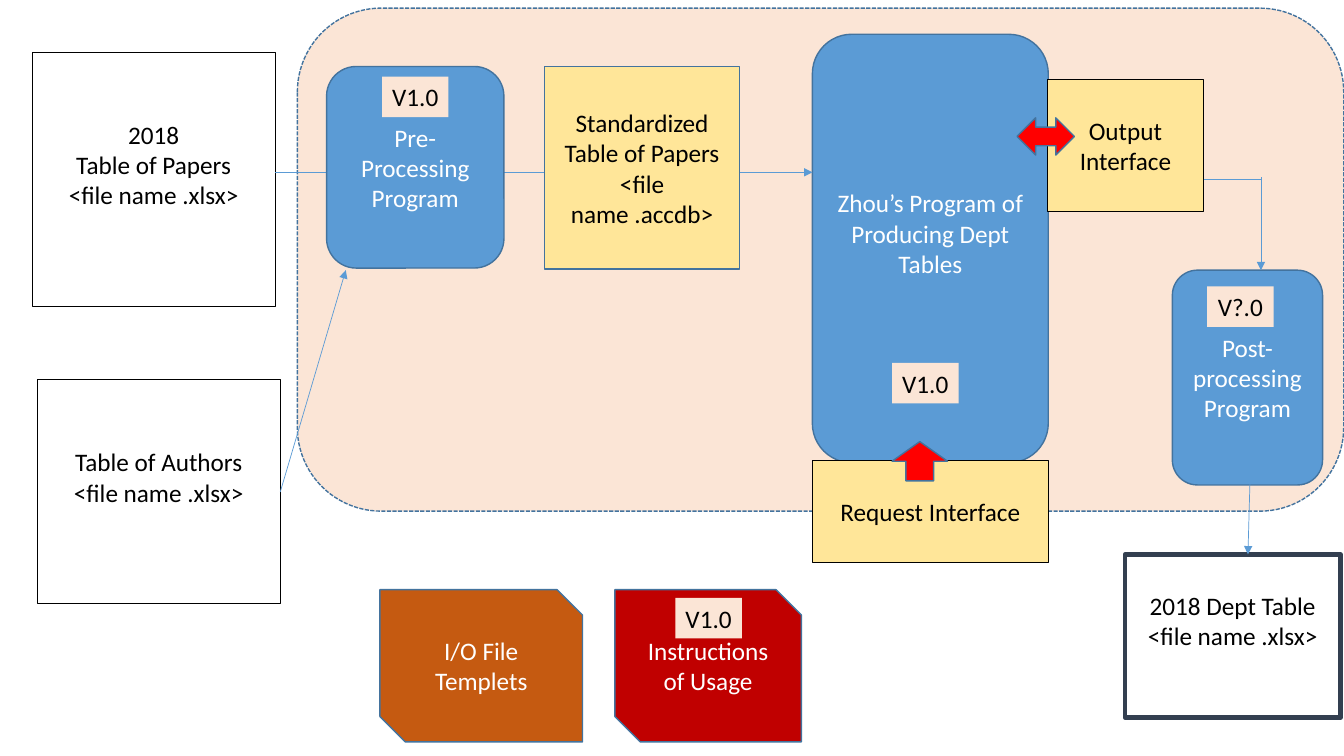
from lxml.etree import SubElement
from pptx import Presentation
from pptx.dml.color import RGBColor
from pptx.enum.dml import MSO_LINE
from pptx.enum.shapes import MSO_CONNECTOR, MSO_SHAPE
from pptx.enum.text import MSO_ANCHOR, PP_ALIGN
from pptx.oxml.ns import qn
from pptx.util import Pt

COLORS = {"black": "000000", "white": "FFFFFF", "blue": "5B9BD5", "edge": "43739E",
          "peach": "FBE5D6", "yellow": "FFE699", "red": "FF0000", "crimson": "C00000",
          "orange": "C55A11", "navy": "333F50"}
RECT, ROUND, SNIP = MSO_SHAPE.RECTANGLE, MSO_SHAPE.ROUNDED_RECTANGLE, MSO_SHAPE.SNIP_2_DIAG_RECTANGLE
LINE_HEIGHT, INSET = 22, 3.6

prs = Presentation()
prs.slide_width, prs.slide_height = Pt(960), Pt(540)
s = prs.slides.add_slide(prs.slide_layouts[6])


def add_box(text, kind, x, y, w, h, fill=None, edge="edge", weight=1, color="white",
            top=None, lift=0, wrap=True):
    """Add a shape; top drops the text by that many lines, lift raises centred text."""
    sp = s.shapes.add_shape(kind, Pt(x), Pt(y), Pt(w), Pt(h))
    sp.shadow.inherit = False
    if fill:
        sp.fill.solid()
        sp.fill.fore_color.rgb = RGBColor.from_string(COLORS[fill])
    else:
        sp.fill.background()
    if edge:
        sp.line.color.rgb = RGBColor.from_string(COLORS[edge])
        sp.line.width = Pt(weight)
    else:
        sp.line.fill.background()
    if text:
        tf = sp.text_frame
        tf.word_wrap = wrap
        tf.vertical_anchor = MSO_ANCHOR.MIDDLE if top is None else MSO_ANCHOR.TOP
        tf.margin_top = Pt(INSET + LINE_HEIGHT * (top or 0))
        tf.margin_bottom = Pt(INSET + LINE_HEIGHT * lift)
        tf.text = text
        for p in tf.paragraphs:
            p.alignment = PP_ALIGN.CENTER
            p.font.name, p.font.size = "Calibri", Pt(18)
            p.font.color.rgb = RGBColor.from_string(COLORS[color])
    return sp


def add_line(x1, y1, x2, y2, arrow=True):
    ln = s.shapes.add_connector(MSO_CONNECTOR.STRAIGHT, Pt(x1), Pt(y1), Pt(x2), Pt(y2))
    ln.line.color.rgb = RGBColor.from_string(COLORS["blue"])
    ln.line.width = Pt(0.5)
    if arrow:
        SubElement(ln.line._get_or_add_ln(), qn("a:tailEnd"), type="triangle")
    SubElement(ln._element.spPr, qn("a:effectLst"))


# System boundary
boundary = add_box("", ROUND, 212.4, 5.8, 747.4, 359.3, fill="peach")
boundary.line.dash_style = MSO_LINE.SQUARE_DOT

# Input tables
note = dict(edge="black", weight=0.75, color="black")
add_box("2018\nTable of Papers\n<file name .xlsx>", RECT, 23, 37.4, 173.5, 181.4, top=2, **note)
add_box("Table of Authors\n<file name .xlsx>", RECT, 26.6, 271.4, 173.5, 159.8, top=2, **note)

# Main program and the flow into it
add_box("Zhou’s Program of\nProducing Dept Tables", ROUND, 580.3, 24.5, 168.5, 306,
        fill="blue", lift=1)
add_line(196.6, 123.1, 580.3, 123.1)
add_line(200.2, 351.4, 247, 193)
add_box("Pre-Processing Program", ROUND, 233.3, 47.5, 126.7, 144, fill="blue")
add_box("Standardized Table of Papers\n<file name .accdb>", RECT, 388.8, 47.5, 139.7, 144.7,
        fill="yellow", color="black")

# Interfaces
add_box("Request Interface", RECT, 580.3, 329, 168.5, 72.7, fill="yellow", top=1, **note)
add_box("Output Interface", RECT, 748.1, 56.9, 111.6, 94.3, fill="yellow", top=1, **note)
add_box("", MSO_SHAPE.UP_ARROW, 637.2, 315.4, 39.6, 28.1, fill="red")
add_box("", MSO_SHAPE.LEFT_RIGHT_ARROW, 726.5, 84.2, 41, 26.6, fill="red")

# Post-processing and final table
add_box("Post-processing Program", ROUND, 837.4, 193, 107.3, 153.4, fill="blue")
add_box("2018 Dept Table\n<file name .xlsx>", RECT, 803.5, 396, 154.1, 116.6,
        fill="white", edge="navy", weight=3, color="black", top=1)
add_line(859.7, 128.2, 900.7, 128.2, arrow=False)
add_line(900.7, 126.7, 900.7, 193)
add_line(892.8, 345.6, 891.4, 396)

# Supporting documents
add_box("I/O File Templets", SNIP, 271.4, 421.2, 144.7, 108.7, fill="orange")
add_box("Instructions of Usage", SNIP, 439.2, 421.2, 133.2, 108.7, fill="crimson")

# Version tags
for version, x, y in [("V1.0", 637.2, 259.2), ("V1.0", 482.4, 427),
                      ("V1.0", 272.9, 54.7), ("V?.0", 862.2, 204.5)]:
    add_box(version, RECT, x, y, 47.5, 29, fill="peach", edge=None, color="black", wrap=False)

prs.save("out.pptx")
